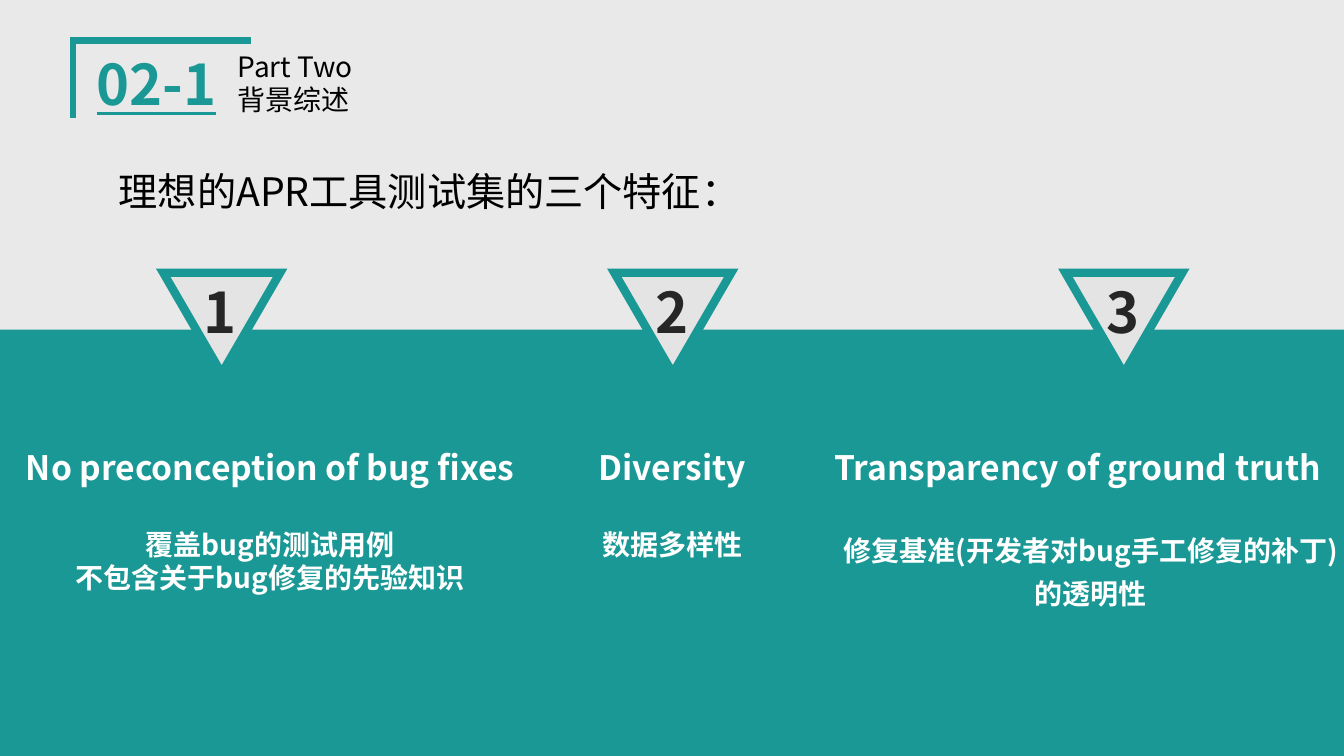
from dataclasses import dataclass

from lxml import etree
from pptx import Presentation
from pptx.dml.color import RGBColor
from pptx.enum.shapes import MSO_SHAPE
from pptx.enum.text import MSO_AUTO_SIZE, PP_ALIGN
from pptx.oxml.ns import qn
from pptx.util import Pt

RECTANGLE = MSO_SHAPE.RECTANGLE
TRIANGLE = MSO_SHAPE.ISOSCELES_TRIANGLE
LEFT, CENTER = PP_ALIGN.LEFT, PP_ALIGN.CENTER
FIT_SHAPE = MSO_AUTO_SIZE.SHAPE_TO_FIT_TEXT

TEAL = RGBColor(0x1A, 0x98, 0x95)
PALE_GREY = RGBColor(0xE9, 0xE9, 0xE9)
MARKER_GREY = RGBColor(0xE4, 0xE4, 0xE4)
CHARCOAL = RGBColor(0x26, 0x26, 0x26)
BLACK = RGBColor(0, 0, 0)
WHITE = RGBColor(0xFF, 0xFF, 0xFF)

FONT = "Noto Sans CJK SC"
SLIDE_WIDTH, SLIDE_HEIGHT = 960, 540
BAND_TOP = 235.4
MARKER_LEFT, MARKER_TOP, MARKER_STEP = 116.6, 194.8, 322.2
MARKER_WIDTH, MARKER_HEIGHT = 83.5, 72
NUMBER_INSET, NUMBER_WIDTH, NUMBER_HEIGHT = 22, 39.6, 55.4
MARKER_COUNT = 3


@dataclass(frozen=True)
class Line:
    text: str
    size: float
    color: RGBColor
    bold: bool = False
    underline: bool = False
    align: PP_ALIGN = LEFT
    space_before: float = 0
    spacing: float = 1.0


@dataclass(frozen=True)
class TextBlock:
    left: float
    top: float
    width: float
    height: float
    lines: tuple[Line, ...]
    wrap: bool = True


def heading(text: str, align: PP_ALIGN = CENTER) -> Line:
    return Line(text, 24, WHITE, bold=True, align=align)


def detail(text: str, space_before: float = 0, spacing: float = 1.0) -> Line:
    return Line(text, 20, WHITE, bold=True, align=CENTER,
                space_before=space_before, spacing=spacing)


DETAIL_GAP = 28.8
TEXT_BLOCKS = (
    TextBlock(61.9, 31.7, 149, 55.4,
              (Line("02-1", 40, TEAL, bold=True, underline=True),)),
    TextBlock(162.7, 31.7, 172.8, 55.4,
              (Line("Part Two", 20, BLACK), Line("背景综述", 20, BLACK))),
    TextBlock(77.8, 115.9, 470.9, 41,
              (Line("理想的APR工具测试集的三个特征：", 28, BLACK),)),
    TextBlock(0, 315.4, 385.9, 113.8,
              (heading("No preconception of bug fixes"),
               detail("覆盖bug的测试用例", DETAIL_GAP),
               detail("不包含关于bug修复的先验知识")), wrap=False),
    TextBlock(416.2, 315.4, 128.2, 90,
              (heading("Diversity"), detail("数据多样性", DETAIL_GAP))),
    TextBlock(589, 315.4, 373, 36,
              (heading("Transparency of ground truth", LEFT),)),
    TextBlock(589, 370.1, 380.2, 70.6,
              (detail("修复基准(开发者对bug手工修复的补丁)", spacing=1.3),
               detail("的透明性", spacing=1.3))),
)


def add_text_block(slide, block: TextBlock) -> None:
    box = slide.shapes.add_textbox(
        Pt(block.left), Pt(block.top), Pt(block.width), Pt(block.height))
    frame = box.text_frame
    frame.word_wrap = block.wrap
    frame.auto_size = FIT_SHAPE
    frame.text = "\n".join(line.text for line in block.lines)
    for paragraph, line in zip(frame.paragraphs, block.lines):
        paragraph.alignment = line.align
        paragraph.space_before = Pt(line.space_before)
        paragraph.line_spacing = line.spacing
        for run in paragraph.runs:
            font = run.font
            font.name = FONT
            font.size = Pt(line.size)
            font.bold = line.bold
            font.underline = line.underline
            font.color.rgb = line.color
            east_asian = etree.SubElement(run._r.get_or_add_rPr(), qn("a:ea"))
            east_asian.set("typeface", FONT)


def outline_with_sharp_corners(shape, width: float) -> None:
    shape.line.color.rgb = TEAL
    shape.line.width = Pt(width)
    miter = etree.SubElement(shape.line._get_or_add_ln(), qn("a:miter"))
    miter.set("lim", "800000")


def add_corner_bracket(slide) -> None:
    builder = slide.shapes.build_freeform(51.8, 84.2, scale=Pt(1))
    builder.add_line_segments([(51.8, 28.8), (178.6, 28.8)], close=False)
    bracket = builder.convert_to_shape()
    bracket.shadow.inherit = False
    bracket.fill.background()
    outline_with_sharp_corners(bracket, 4.5)


def add_band(slide) -> None:
    band = slide.shapes.add_shape(
        RECTANGLE, 0, Pt(BAND_TOP), Pt(SLIDE_WIDTH), Pt(SLIDE_HEIGHT - BAND_TOP))
    band.shadow.inherit = False
    band.fill.solid()
    band.fill.fore_color.rgb = TEAL
    band.line.fill.background()


def add_numbered_marker(slide, index: int) -> None:
    left = MARKER_LEFT + index * MARKER_STEP
    marker = slide.shapes.add_shape(
        TRIANGLE, Pt(left), Pt(MARKER_TOP), Pt(MARKER_WIDTH), Pt(MARKER_HEIGHT))
    marker.rotation = 180
    marker.shadow.inherit = False
    marker.fill.solid()
    marker.fill.fore_color.rgb = MARKER_GREY
    outline_with_sharp_corners(marker, 6)
    number = Line(str(index + 1), 40, CHARCOAL, bold=True)
    add_text_block(slide, TextBlock(
        left + NUMBER_INSET, MARKER_TOP, NUMBER_WIDTH, NUMBER_HEIGHT,
        (number,), wrap=False))


def main() -> None:
    presentation = Presentation()
    presentation.slide_width = Pt(SLIDE_WIDTH)
    presentation.slide_height = Pt(SLIDE_HEIGHT)
    slide = presentation.slides.add_slide(presentation.slide_layouts[6])
    slide.background.fill.solid()
    slide.background.fill.fore_color.rgb = PALE_GREY

    add_corner_bracket(slide)
    add_band(slide)
    for index in range(MARKER_COUNT):
        add_numbered_marker(slide, index)
    for block in TEXT_BLOCKS:
        add_text_block(slide, block)

    presentation.save("out.pptx")


if __name__ == "__main__":
    main()
